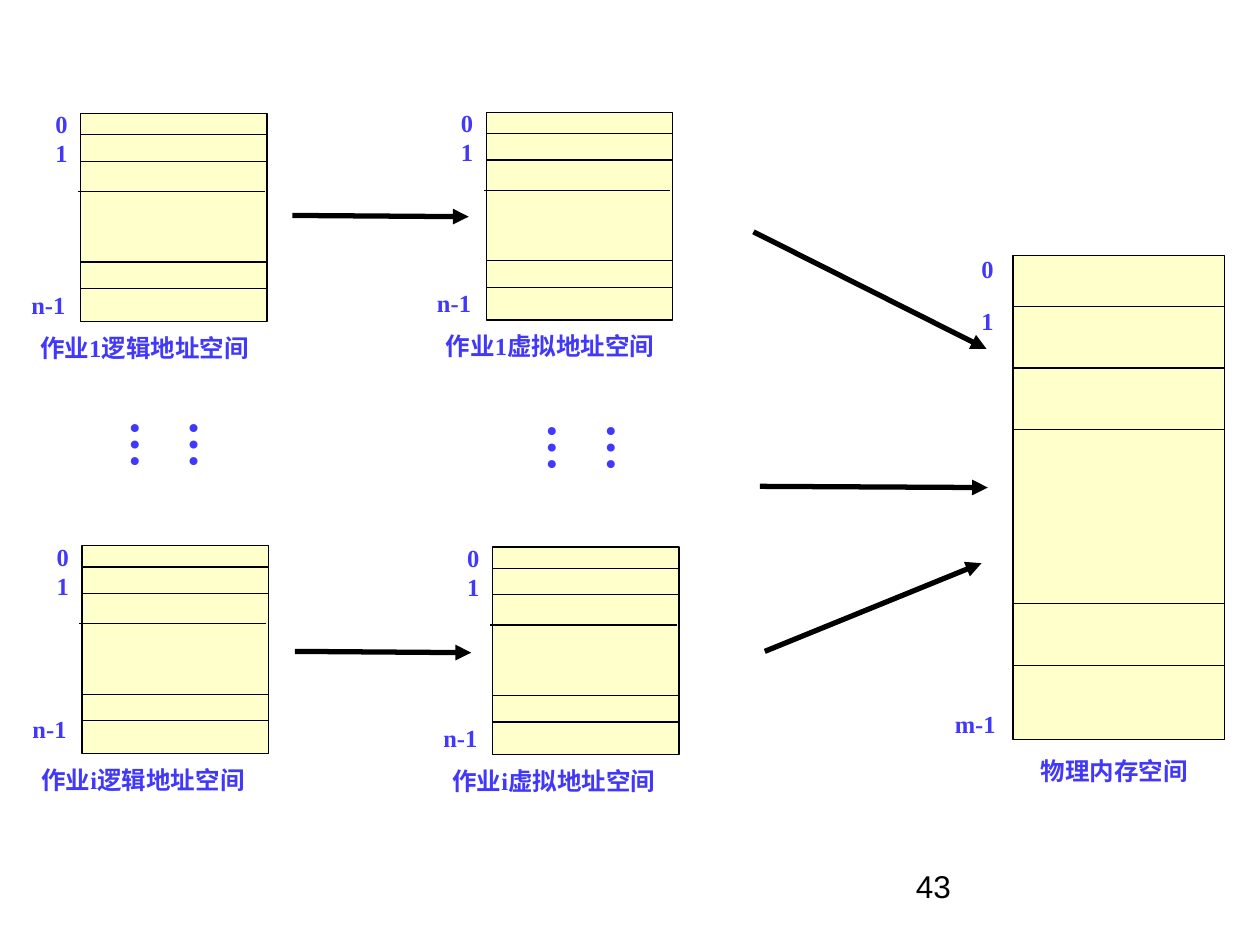
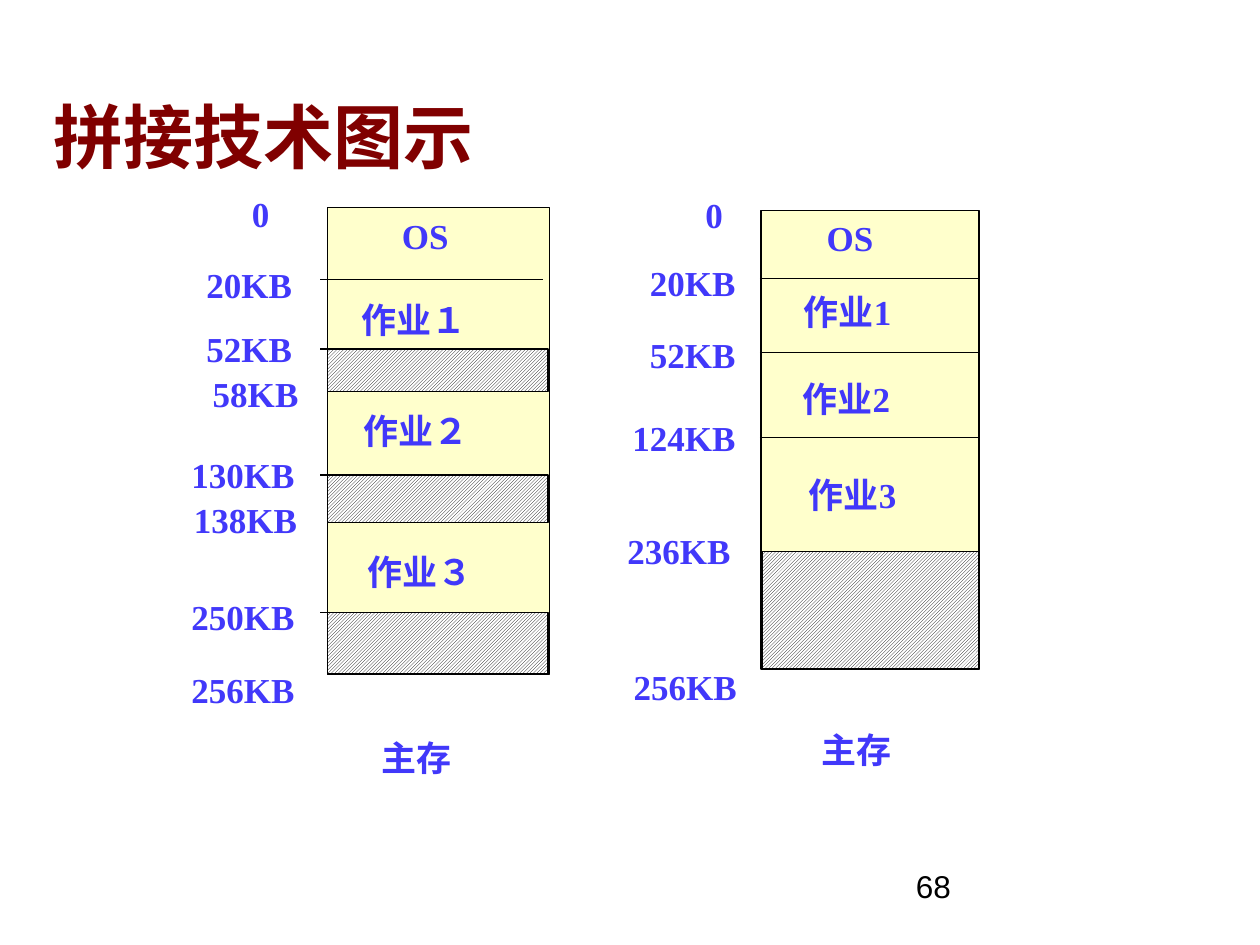
from pptx import Presentation
from pptx.dml.color import RGBColor
from pptx.enum.dml import MSO_PATTERN
from pptx.enum.shapes import MSO_CONNECTOR, MSO_SHAPE
from pptx.enum.text import MSO_ANCHOR, MSO_AUTO_SIZE
from pptx.oxml.ns import qn
from pptx.util import Inches, Pt
from lxml import etree

BLACK, WHITE, CREAM, BLUE, MAROON = "000000", "FFFFFF", "FFFFCC", "4138FA", "800000"

# Shared text styles
SMALL = dict(size=Pt(14), bold=True, name="Times New Roman", color=BLUE)
MEDIUM = dict(SMALL, size=Pt(20))
DOTS = dict(SMALL, size=Pt(28))
TITLE = dict(size=Pt(40), bold=True, name="Arial", color=MAROON)
NUMBER = dict(size=Pt(18), bold=False, name="Arial", color=BLACK)

# Slide 1: address spaces (left, top, caption, offset of the last label)
JOB_SPACES = [
    (0.64, 0.90, "作业1逻辑地址空间", 1.35),
    (0.65, 4.33, "作业i逻辑地址空间", 1.29),
    (3.86, 0.89, "作业1虚拟地址空间", 1.35),
    (3.91, 4.34, "作业i虚拟地址空间", 1.35),
]
JOB_SIZE = (1.48, 1.65)
JOB_ROWS = [0.17, 0.38, 1.18, 1.39]
PHYSICAL = (8.04, 2.03, 1.68, 3.84)
PHYSICAL_ROWS = [2.43, 2.92, 3.41, 4.79, 5.28]
PHYSICAL_LABELS = [
    ("物理内存空间", 8.16, 5.95, 1.53),
    ("0", 7.69, 1.97, 0.35),
    ("1", 7.69, 2.38, 0.35),
    ("m-1", 7.48, 5.58, 0.84),
]
ARROWS = [
    (2.32, 1.71, 3.72, 1.72),
    (2.34, 5.17, 3.74, 5.18),
    (5.98, 1.84, 7.83, 2.77),
    (6.03, 3.86, 7.84, 3.87),
    (6.07, 5.17, 7.79, 4.47),
]
ELLIPSES = [(1.28, 3.24), (4.59, 3.26)]

# Slide 2: main memory before and after compaction
MEMORIES = [
    dict(
        box=(2.60, 1.65, 1.76, 3.70), os_indent=0.59,
        free=[(2.60, 2.77, 1.75, 0.34), (2.60, 3.77, 1.75, 0.38), (2.60, 4.86, 1.75, 0.49)],
        rows=[2.22, 2.77, 3.77, 4.86], row_left=2.54, row_width=1.77,
        labels=[
            ("0", 1.90, 1.48, 0.58), ("20KB", 1.54, 2.04, 1.13), ("52KB", 1.54, 2.55, 1.13),
            ("58KB", 1.59, 2.91, 1.13), ("130KB", 1.42, 3.55, 1.38),
            ("138KB", 1.44, 3.91, 1.36), ("250KB", 1.42, 4.68, 1.36),
            ("256KB", 1.42, 5.26, 1.73), ("主存", 2.93, 5.80, 1.25),
            ("作业１", 2.77, 2.32, 1.36), ("作业２", 2.79, 3.20, 1.36),
            ("作业３", 2.82, 4.32, 1.36),
        ],
    ),
    dict(
        box=(6.04, 1.67, 1.73, 3.64), os_indent=0.52,
        free=[(6.05, 4.38, 1.72, 0.93)],
        rows=[2.21, 2.80, 3.47], row_left=6.03, row_width=1.74,
        labels=[
            ("0", 5.50, 1.49, 0.59), ("20KB", 5.06, 2.03, 1.11), ("52KB", 5.06, 2.60, 1.11),
            ("124KB", 4.92, 3.26, 1.35), ("236KB", 4.88, 4.15, 1.35),
            ("256KB", 4.93, 5.23, 1.70), ("主存", 6.42, 5.73, 1.23),
            ("作业1", 6.28, 2.26, 1.51), ("作业2", 6.27, 2.95, 1.51),
            ("作业3", 6.32, 3.71, 1.51),
        ],
    ),
]


def rgb(value):
    return RGBColor.from_string(value)


def write(tf, text, style):
    tf.word_wrap = True
    tf.vertical_anchor = MSO_ANCHOR.TOP
    p = tf.paragraphs[0]
    r = p.add_run()
    r.text = text
    for key, value in style.items():
        if key == "color":
            r.font.color.rgb = rgb(value)
        else:
            setattr(r.font, key, value)
    return p


def add_text(s, text, left, top, width, height, style):
    tf = s.shapes.add_textbox(*map(Inches, (left, top, width, height))).text_frame
    return tf, write(tf, text, style)


def add_box(s, box, hatched=False):
    sp = s.shapes.add_shape(MSO_SHAPE.RECTANGLE, *map(Inches, box))
    sp.shadow.inherit = False
    sp.line.color.rgb = rgb(BLACK)
    sp.line.width = Pt(0.75)
    if hatched:
        sp.fill.patterned()
        sp.fill.pattern = MSO_PATTERN.LIGHT_UPWARD_DIAGONAL
        sp.fill.fore_color.rgb = rgb(BLACK)
        sp.fill.back_color.rgb = rgb(WHITE)
    else:
        sp.fill.solid()
        sp.fill.fore_color.rgb = rgb(CREAM)
    return sp


def add_line(s, x1, y1, x2, y2, width=0.75, arrow=False):
    line = s.shapes.add_connector(MSO_CONNECTOR.STRAIGHT, *map(Inches, (x1, y1, x2, y2)))
    line.line.color.rgb = rgb(BLACK)
    line.line.width = Pt(width)
    if arrow:
        etree.SubElement(line.line._get_or_add_ln(), qn("a:tailEnd"), type="triangle")
    etree.SubElement(line._element.spPr, qn("a:effectLst"))


def add_rows(s, left, width, rows):
    for y in rows:
        add_line(s, left, y, left + width, y)


def add_slide(prs, number):
    s = prs.slides.add_slide(prs.slide_layouts[6])
    add_text(s, number, 7.17, 6.83, 2.08, 0.5, NUMBER)
    return s


def add_job_space(s, left, top, caption, last_offset):
    width, height = JOB_SIZE
    add_box(s, (left, top, width, height))
    add_rows(s, left, width, [top + dy for dy in JOB_ROWS])
    add_rows(s, left - 0.02, width, [top + 0.62])
    for text, dx, dy, w in [
        ("0", -0.30, -0.08, 0.31),
        ("1", -0.30, 0.15, 0.31),
        ("n-1", -0.49, last_offset, 0.74),
        (caption, -0.42, 1.69, 2.0),
    ]:
        add_text(s, text, left + dx, top + dy, w, 0.33, SMALL)


def build_mapping(prs):
    s = add_slide(prs, "43")
    # Physical memory
    add_box(s, PHYSICAL)
    add_rows(s, PHYSICAL[0], PHYSICAL[2], PHYSICAL_ROWS)
    for label in PHYSICAL_LABELS:
        add_text(s, *label, 0.33, SMALL)
    # Logical and virtual spaces of each job
    for space in JOB_SPACES:
        add_job_space(s, *space)
    for left, top in ELLIPSES:
        tf, p = add_text(s, "……", left, top, 0.67, 0.83, DOTS)
        p.space_before = Pt(14)
        tf.auto_size = MSO_AUTO_SIZE.SHAPE_TO_FIT_TEXT
        tf._txBody.bodyPr.set("vert", "eaVert")
    for arrow in ARROWS:
        add_line(s, *arrow, width=3, arrow=True)


def build_compaction(prs):
    s = add_slide(prs, "68")
    _, p = add_text(s, "拼接技术图示", 0.33, 0.77, 9.25, 0.92, TITLE)
    p.line_spacing = 0.9
    for memory in MEMORIES:
        # Memory block with the OS at its top, then the free areas
        tf = add_box(s, memory["box"]).text_frame
        p = write(tf, "OS", MEDIUM)
        p.alignment = 1
        tf.margin_left = Inches(memory["os_indent"])
        for area in memory["free"]:
            add_box(s, area, hatched=True)
        add_rows(s, memory["row_left"], memory["row_width"], memory["rows"])
        for label in memory["labels"]:
            add_text(s, *label, 0.36, MEDIUM)


def main():
    prs = Presentation()
    prs.slide_width, prs.slide_height = Inches(10), Inches(7.5)
    build_mapping(prs)
    build_compaction(prs)
    prs.save("out.pptx")


if __name__ == "__main__":
    main()
